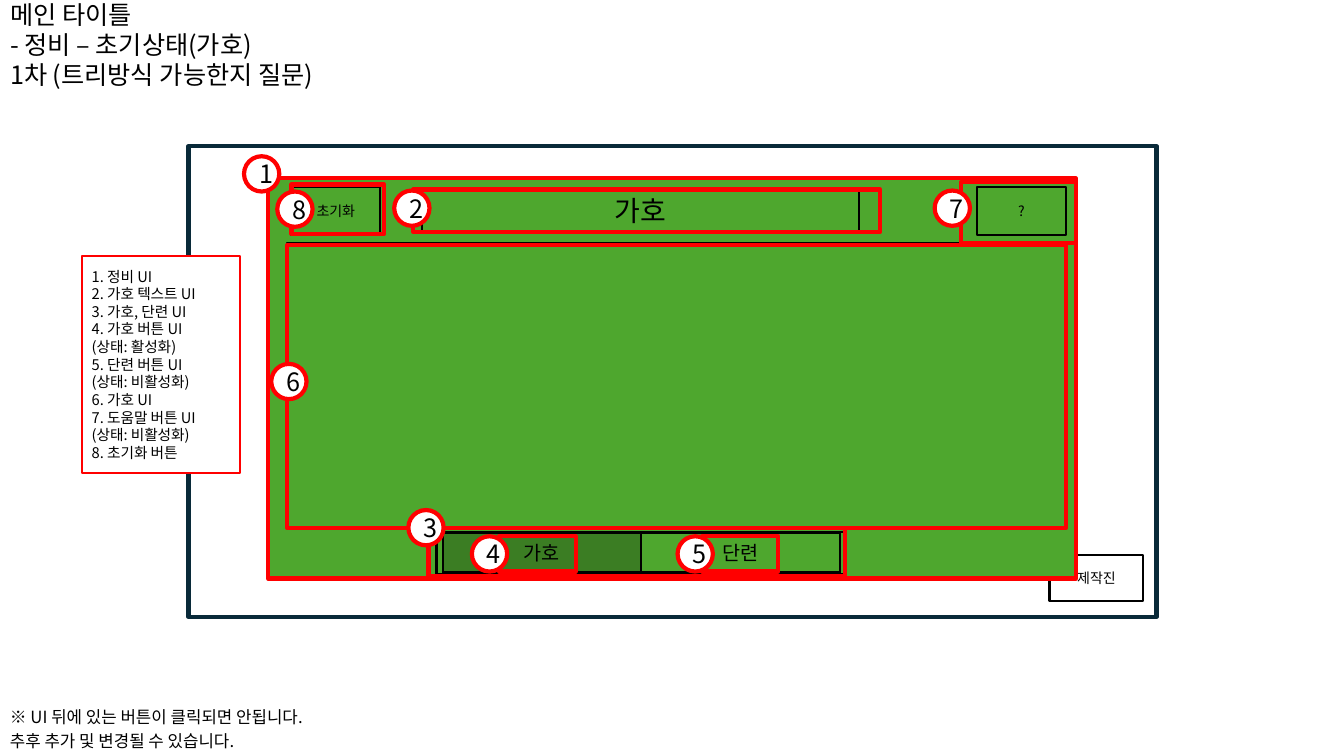
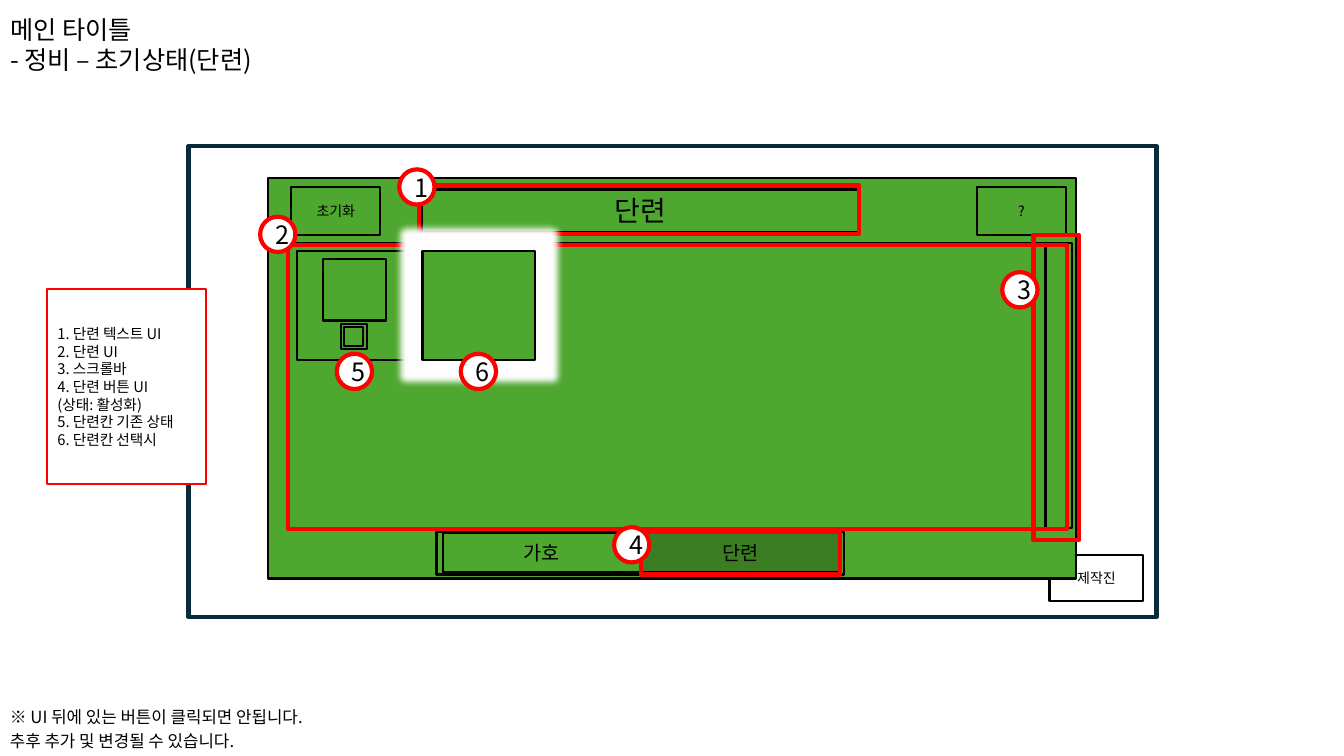
"""Build two annotated game-screen layout slides."""
from dataclasses import dataclass

from lxml.etree import SubElement
from pptx import Presentation
from pptx.dml.color import RGBColor
from pptx.enum.shapes import MSO_SHAPE
from pptx.enum.text import MSO_ANCHOR, MSO_AUTO_SIZE, PP_ALIGN
from pptx.oxml.ns import qn
from pptx.util import Inches, Pt


@dataclass(frozen=True)
class Theme:
    """Colours, type sizes and line widths of the deck."""
    font: str = "Noto Sans CJK KR"
    white: str = "FFFFFF"
    black: str = "000000"
    navy: str = "092A39"
    red: str = "FF0000"
    green: str = "4EA72E"
    active: str = "3B7D23"
    heading: float = 20
    title: float = 18
    tab: float = 14
    note: float = 12
    legend: float = 10.5
    button: float = 10
    leading: float = 1.2
    thin: float = 1.5
    thick: float = 3


T = Theme()
FRAME = (1.87, 1.45, 9.6, 4.67)
PANEL = (2.66, 1.77, 8.01, 3.97)
LIST = (2.85, 2.41, 7.72, 2.83)
HEADING = (4.19, 1.88, 4.33, 0.42)
TAB_BAR = (4.33, 5.28, 4.04, 0.42)
SCROLLBAR = (10.37, 2.41, 0.26, 2.83)
TABS = ("가호", "단련")
TAB_LEFT, TAB_TOP, TAB_W, TAB_H = 4.39, 5.29, 1.97, 0.39
CARD_W, CARD_H, CARD_TOP = 1.12, 1.08, 2.49
BADGE = 0.35
BUTTONS = (
    ("제작진", (10.41, 5.51, 0.93, 0.45), T.white),
    ("초기화", (2.89, 1.86, 0.88, 0.47), T.green),
    ("?", (9.69, 1.86, 0.88, 0.47), T.green),
)
NOTES = (
    ("※ UI 뒤에 있는 버튼이 클릭되면 안됩니다.", 6.99),
    ("추후 추가 및 변경될 수 있습니다.", 7.23),
)

BLESSING = {
    "title": ("메인 타이틀", "- 정비 – 초기상태(가호)", "1차 (트리방식 가능한지 질문)"),
    "tab": "가호",
    "legend": (
        "1. 정비 UI", "2. 가호 텍스트 UI", "3. 가호, 단련 UI",
        "4. 가호 버튼 UI", "(상태: 활성화)",
        "5. 단련 버튼 UI", "(상태: 비활성화)", "6. 가호 UI",
        "7. 도움말 버튼 UI", "(상태: 비활성화)", "8. 초기화 버튼",
    ),
    "legend_box": (0.81, 2.54, 1.57, 2.15),
    "marks": (
        (PANEL, (2.42, 1.55)),
        ((4.1, 1.88, 4.63, 0.42), (3.91, 1.89)),
        ((4.25, 5.24, 4.13, 0.48), (4.05, 5.06)),
        ((4.95, 5.32, 0.76, 0.35), (4.68, 5.32)),
        ((6.96, 5.32, 0.76, 0.35), (6.72, 5.32)),
        ((2.85, 2.43, 7.72, 2.81), (2.69, 3.61)),
        ((9.53, 1.81, 1.14, 0.6), (9.27, 1.89)),
        ((2.89, 1.83, 0.92, 0.49), (2.75, 1.9)),
    ),
}
TRAINING = {
    "title": ("메인 타이틀", "- 정비 – 초기상태(단련)"),
    "tab": "단련",
    "legend": (
        "1. 단련 텍스트 UI", "2. 단련 UI", "3. 스크롤바",
        "4. 단련 버튼 UI", "(상태: 활성화)",
        "5. 단련칸 기존 상태", "6. 단련칸 선택시",
    ),
    "legend_box": (0.47, 2.87, 1.57, 1.93),
    "marks": (
        ((4.16, 1.84, 4.36, 0.48), (3.96, 1.68)),
        ((2.86, 2.43, 7.72, 2.82), (2.58, 2.15)),
        ((10.25, 2.33, 0.45, 3.03), (9.94, 2.7)),
        ((6.36, 5.28, 1.97, 0.42), (6.09, 5.23)),
        (None, (3.34, 3.51)),
        (None, (4.57, 3.51)),
    ),
}


def write(sp, lines, size, align=PP_ALIGN.LEFT):
    """Write each line as a paragraph, centred vertically in the shape."""
    tf = sp.text_frame
    tf.word_wrap = True
    tf.auto_size = MSO_AUTO_SIZE.NONE
    tf.vertical_anchor = MSO_ANCHOR.MIDDLE
    for i, line in enumerate(lines):
        p = tf.add_paragraph() if i else tf.paragraphs[0]
        p.alignment = align
        p.line_spacing = Pt(size * T.leading)
        p.space_before = Pt(0)
        r = p.add_run()
        r.text = line
        r.font.size = Pt(size)
        r.font.name = T.font
        r.font.color.rgb = RGBColor.from_string(T.black)
        SubElement(r.font._element, qn("a:ea"), typeface=T.font)


def place(sp, box):
    """Move and size a shape in inches."""
    sp.left, sp.top, sp.width, sp.height = map(Inches, box)


def paint(sp, fill, line, width):
    """Set fill and outline, with no fill for None."""
    if fill:
        sp.fill.solid()
        sp.fill.fore_color.rgb = RGBColor.from_string(fill)
    else:
        sp.fill.background()
    sp.line.color.rgb = RGBColor.from_string(line)
    sp.line.width = Pt(width)
    sp.shadow.inherit = False


def add_box(slide, box, fill=T.green, line=T.black, width=T.thin,
            text=None, size=T.button, kind=MSO_SHAPE.RECTANGLE):
    """Add a preset shape with an optional centred label."""
    sp = slide.shapes.add_shape(kind, *map(Inches, box))
    paint(sp, fill, line, width)
    if text:
        write(sp, (text,), size, PP_ALIGN.CENTER)
    return sp


def add_glow(sp, color, radius):
    """Put a soft glow around a shape."""
    effects = sp.element.spPr.find(qn("a:effectLst"))
    glow = SubElement(effects, qn("a:glow"), rad=str(Pt(radius)))
    SubElement(glow, qn("a:srgbClr"), val=color)


def add_legend(slide, lines, box):
    """Turn the body placeholder into the red legend, in front of the screen."""
    sp = slide.placeholders[1]
    place(sp, box)
    paint(sp, T.white, T.red, T.thin)
    write(sp, lines, T.legend)
    for p in sp.text_frame.paragraphs:
        pPr = p._p.get_or_add_pPr()
        pPr.set("marL", "0")
        pPr.set("indent", "0")
        SubElement(pPr, qn("a:buNone"))
    slide.shapes.element.append(sp.element)


def add_screen(slide, active):
    """Draw the game screen with the active tab darkened."""
    add_box(slide, FRAME, T.white, T.navy, T.thick)
    credit, *controls = BUTTONS
    label, box, fill = credit
    add_box(slide, box, fill, text=label)
    for box in (PANEL, LIST):
        add_box(slide, box)
    add_box(slide, HEADING, text=active, size=T.heading)
    for label, box, fill in controls:
        add_box(slide, box, fill, text=label)
    add_box(slide, TAB_BAR)
    for i, label in enumerate(TABS):
        add_box(slide, (TAB_LEFT + i * TAB_W, TAB_TOP, TAB_W, TAB_H),
                T.active if label == active else T.green,
                text=label, size=T.tab)


def add_cards(slide):
    """Draw a normal training card and a glowing selected one."""
    for box in ((2.95, CARD_TOP, CARD_W, CARD_H), (3.2, 2.57, 0.63, 0.61),
                (3.38, 3.21, 0.26, 0.25), (3.41, 3.24, 0.19, 0.19)):
        add_box(slide, box)
    selected = add_box(slide, (4.19, CARD_TOP, CARD_W, CARD_H))
    add_glow(selected, T.white, 10)


def add_outlines(slide, marks):
    """Frame each marked area in red."""
    for area, _ in marks:
        if area:
            add_box(slide, area, None, T.red, T.thick)


def add_badges(slide, marks):
    """Number the marks with round badges."""
    for number, (_, corner) in enumerate(marks, 1):
        add_box(slide, (*corner, BADGE, BADGE), T.white, T.red, T.thick,
                str(number), T.title, MSO_SHAPE.OVAL)


def add_notes_lines(slide):
    """Add the remarks at the foot of the slide."""
    for text, top in NOTES:
        sp = slide.shapes.add_textbox(*map(Inches, (0, top, 4.25, 0.24)))
        write(sp, (text,), T.note)


def add_layout_slide(prs, content, training=False):
    """Build one annotated screen slide."""
    slide = prs.slides.add_slide(prs.slide_layouts[1])
    place(slide.shapes.title, (0, 0, 3.59, 0.88))
    write(slide.shapes.title, content["title"], T.title)
    add_screen(slide, content["tab"])
    if training:
        add_box(slide, SCROLLBAR)
    add_outlines(slide, content["marks"])
    if training:
        add_cards(slide)
    add_badges(slide, content["marks"])
    add_legend(slide, content["legend"], content["legend_box"])
    add_notes_lines(slide)


def main():
    """Create and save the deck."""
    prs = Presentation()
    prs.slide_width, prs.slide_height = Inches(13.33), Inches(7.5)
    add_layout_slide(prs, BLESSING)
    add_layout_slide(prs, TRAINING, training=True)
    prs.save("out.pptx")


if __name__ == "__main__":
    main()
